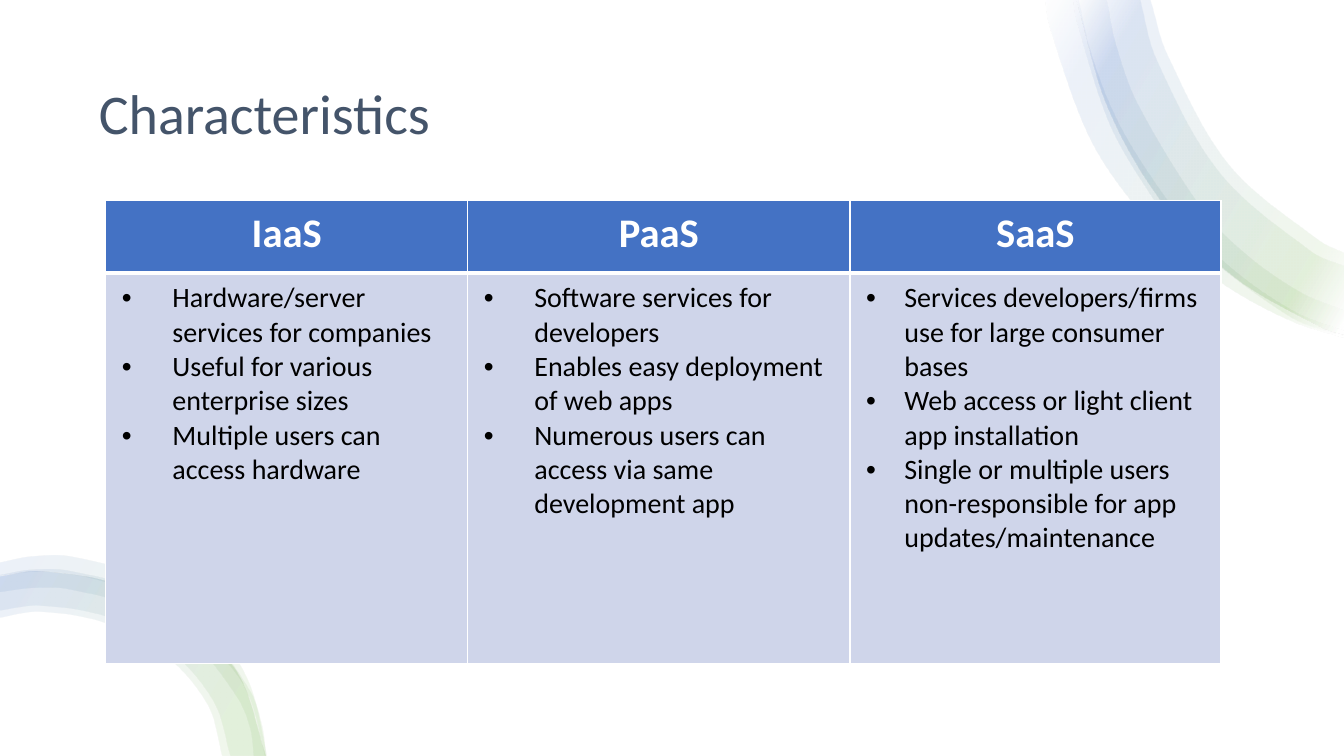
import math

import pptx
import pptx.dml.color
import pptx.enum.shapes
import pptx.enum.text
import pptx.oxml
import pptx.oxml.ns
import pptx.util
from pptx.dml.color import RGBColor
from pptx.util import Inches

WHITE = RGBColor(0xFF, 0xFF, 0xFF)
BLACK = RGBColor(0x00, 0x00, 0x00)
SLATE = RGBColor(0x44, 0x54, 0x6A)
BLUE = RGBColor(0x44, 0x72, 0xC4)
PALE_BLUE = RGBColor(0xCF, 0xD5, 0xEA)
GREEN = RGBColor(0x70, 0xAD, 0x47)

SWIRL_OPACITY = 10
SWIRL_ANGLE = 210
TOP_STOPS = [(2, WHITE), (16, GREEN), (85, BLUE), (100, WHITE)]
BOTTOM_STOPS = [(0, GREEN), (16, GREEN), (100, BLUE)]

TOP_EDGE = [(13.33, 3.32), (13.09, 3.24), (12.23, 2.74), (11.52, 2),
            (10.99, 1.07), (10.68, 0)]
BOTTOM_EDGE = [(2.63, 7.5), (2.36, 6.69), (1.85, 6.16),
               (1.17, 5.8), (0.4, 5.67), (0, 5.72)]
TOP_BANDS = [
    ([(13.33, 3.35), (12.82, 3.19), (12.21, 2.87), (11.65, 2.45),
      (11.16, 1.92), (10.78, 1.31), (10.41, 0.26), (10.37, 0)],
     [(10.7, 0), (10.82, 0.52), (11.06, 1.15), (11.4, 1.73),
      (11.81, 2.27), (12.3, 2.73), (12.86, 3.1), (13.33, 3.28)]),
    (TOP_EDGE,
     [(11.41, 0), (11.58, 0.55), (12.19, 1.64), (13.07, 2.38), (13.33, 2.51)]),
    ([(13.33, 3.33), (12.79, 3.14), (11.73, 2.33), (11.32, 1.79),
      (10.99, 1.19), (10.68, 0.2), (10.65, 0)],
     [(10.98, 0), (11.07, 0.44), (11.29, 1.04), (11.95, 2.11),
      (12.39, 2.55), (12.9, 2.9), (13.33, 3.08)]),
    (TOP_EDGE,
     [(11.31, 0), (11.47, 0.59), (12.1, 1.72), (13.01, 2.5), (13.33, 2.64)]),
]
BOTTOM_BANDS = [
    (BOTTOM_EDGE,
     [(0, 6.13), (0.4, 6.07), (1.07, 6.19), (1.66, 6.52), (2.06, 7), (2.2, 7.5)]),
    (BOTTOM_EDGE,
     [(0, 6.06), (0.4, 6.01), (1.09, 6.13), (1.7, 6.47), (2.12, 6.97), (2.28, 7.5)]),
    ([(2.63, 7.5), (2.59, 7.19), (2.47, 6.85), (2.03, 6.27), (1.42, 5.87),
      (0.69, 5.67), (0.31, 5.66), (0, 5.71)],
     [(0, 5.88), (0.33, 5.84), (0.67, 5.85), (1.34, 6.03), (1.92, 6.39),
      (2.34, 6.91), (2.47, 7.21), (2.51, 7.5)]),
    ([(2.64, 7.5), (2.5, 6.87), (2.33, 6.53), (1.96, 6.09), (1.48, 5.75),
      (0.71, 5.53), (0.31, 5.53), (0, 5.59)],
     [(0, 5.72), (0.32, 5.68), (0.69, 5.7), (1.22, 5.84), (1.71, 6.09),
      (2.25, 6.58), (2.47, 6.93), (2.62, 7.5)]),
]

SERVICES = [
    ("IaaS", 3.59, 0.5, ["Hardware/server services for companies",
                         "Useful for various enterprise sizes",
                         "Multiple users can access hardware"]),
    ("PaaS", 3.79, 0.5, ["Software services for developers",
                         "Enables easy deployment of web apps",
                         "Numerous users can access via same development app"]),
    ("SaaS", 3.68, 0.38, ["Services developers/firms use for large consumer bases",
                          "Web access or light client app installation",
                          "Single or multiple users non-responsible for app updates/maintenance"]),
]


def curve_controls(edge):
    padded = [edge[0]] + edge + [edge[-1]]
    controls = []
    for before, start, end, after in zip(padded, padded[1:], padded[2:], padded[3:]):
        reach = math.dist(start, end) / 3
        lead = reach / (math.dist(before, start) + math.dist(start, end))
        trail = reach / (math.dist(start, end) + math.dist(end, after))
        controls.append((
            tuple(s + (e - b) * lead for b, s, e in zip(before, start, end)),
            tuple(e - (a - s) * trail for s, e, a in zip(start, end, after))))
    return controls


def xml(tag, attributes, content=""):
    return pptx.oxml.parse_xml(
        f'<a:{tag} {pptx.oxml.ns.nsdecls("a")} {attributes}>{content}</a:{tag}>')


class SlideBuilder:
    font_name = "Calibri"

    def __init__(self, presentation):
        self.slide = presentation.slides.add_slide(presentation.slide_layouts[5])
        backdrop = self.slide.shapes.add_shape(
            pptx.enum.shapes.MSO_SHAPE.RECTANGLE, 0, 0,
            presentation.slide_width, presentation.slide_height)
        backdrop.shadow.inherit = False
        backdrop.fill.solid()
        backdrop.fill.fore_color.rgb = WHITE
        backdrop.line.fill.background()
        self.slide.shapes.title._element.addprevious(backdrop._element)

    def add_run(self, paragraph, text, size, color, bold=False):
        run = paragraph.add_run()
        run.text = text
        run.font.name = self.font_name
        run.font.size = pptx.util.Pt(size)
        run.font.color.rgb = color
        run.font.bold = bold

    def add_title(self, text):
        title = self.slide.shapes.title
        title.left, title.top = Inches(0.88), Inches(0.5)
        title.width, title.height = Inches(11.57), Inches(1.3)
        title.text_frame.vertical_anchor = pptx.enum.text.MSO_ANCHOR.MIDDLE
        paragraph = title.text_frame.paragraphs[0]
        paragraph.alignment = pptx.enum.text.PP_ALIGN.LEFT
        paragraph.line_spacing = 0.9
        self.add_run(paragraph, text, 40, SLATE)

    def add_swirl_band(self, outer, inner, stops):
        points = [(Inches(x), Inches(y)) for x, y in outer + inner]
        builder = self.slide.shapes.build_freeform(*points[0])
        builder.add_line_segments(points[1:], close=True)
        shape = builder.convert_to_shape()
        shape.shadow.inherit = False
        shape.line.fill.background()
        geometry = shape._element.spPr.find(pptx.oxml.ns.qn("a:custGeom"))
        lines = list(geometry.iter(pptx.oxml.ns.qn("a:lnTo")))
        controls = curve_controls(outer) + [None] + curve_controls(inner)
        for line, pair in zip(lines, controls):
            if pair:
                curve = xml("cubicBezTo", "")
                for x, y in pair:
                    curve.append(xml("pt", f'x="{Inches(x) - shape.left}" '
                                           f'y="{Inches(y) - shape.top}"'))
                curve.append(line[0])
                line.getparent().replace(line, curve)
        gradient_stops = "".join(
            f'<a:gs pos="{position * 1000}"><a:srgbClr val="{color}">'
            f'<a:alpha val="{SWIRL_OPACITY * 1000}"/></a:srgbClr></a:gs>'
            for position, color in stops)
        geometry.addnext(xml(
            "gradFill", 'rotWithShape="1"',
            f'<a:gsLst>{gradient_stops}</a:gsLst>'
            f'<a:lin ang="{SWIRL_ANGLE * 60000}" scaled="0"/>'))

    def format_cell(self, cell, color, top, bottom):
        cell.margin_left = cell.margin_right = Inches(0.16)
        cell.margin_top = cell.margin_bottom = Inches(0.08)
        properties = cell._tc.get_or_add_tcPr()
        for side, width in (("L", 1), ("R", 1), ("T", top), ("B", bottom)):
            properties.append(xml(
                f"ln{side}", f'w="{pptx.util.Pt(width)}"',
                f'<a:solidFill><a:srgbClr val="{WHITE}"/></a:solidFill>'))
        cell.fill.solid()
        cell.fill.fore_color.rgb = color

    def add_bullet(self, paragraph, text, indent):
        properties = paragraph._p.get_or_add_pPr()
        properties.set("marL", str(Inches(indent)))
        properties.set("indent", str(-Inches(indent)))
        properties.append(xml("buFont", 'typeface="Arial"'))
        properties.append(xml("buChar", 'char="•"'))
        self.add_run(paragraph, text, 20, BLACK)

    def add_service_table(self, services):
        table = self.slide.shapes.add_table(
            2, len(services), Inches(1.05), Inches(1.99), Inches(11.06), Inches(4.59)).table
        table.rows[0].height, table.rows[1].height = Inches(0.72), Inches(3.87)
        for column, (name, width, indent, features) in enumerate(services):
            table.columns[column].width = Inches(width)
            header, body = table.cell(0, column), table.cell(1, column)
            self.format_cell(header, BLUE, 1, 3)
            self.format_cell(body, PALE_BLUE, 3, 1)
            heading = header.text_frame.paragraphs[0]
            heading.alignment = pptx.enum.text.PP_ALIGN.CENTER
            self.add_run(heading, name, 29, WHITE, bold=True)
            for index, feature in enumerate(features):
                frame = body.text_frame
                paragraph = frame.add_paragraph() if index else frame.paragraphs[0]
                self.add_bullet(paragraph, feature, indent)


def main():
    presentation = pptx.Presentation()
    presentation.slide_width, presentation.slide_height = Inches(13.33), Inches(7.5)
    builder = SlideBuilder(presentation)
    builder.add_title("Characteristics")
    for bands, stops in ((TOP_BANDS, TOP_STOPS), (BOTTOM_BANDS, BOTTOM_STOPS)):
        for outer, inner in bands:
            builder.add_swirl_band(outer, inner, stops)
    builder.add_service_table(SERVICES)
    presentation.save("out.pptx")


if __name__ == "__main__":
    main()
